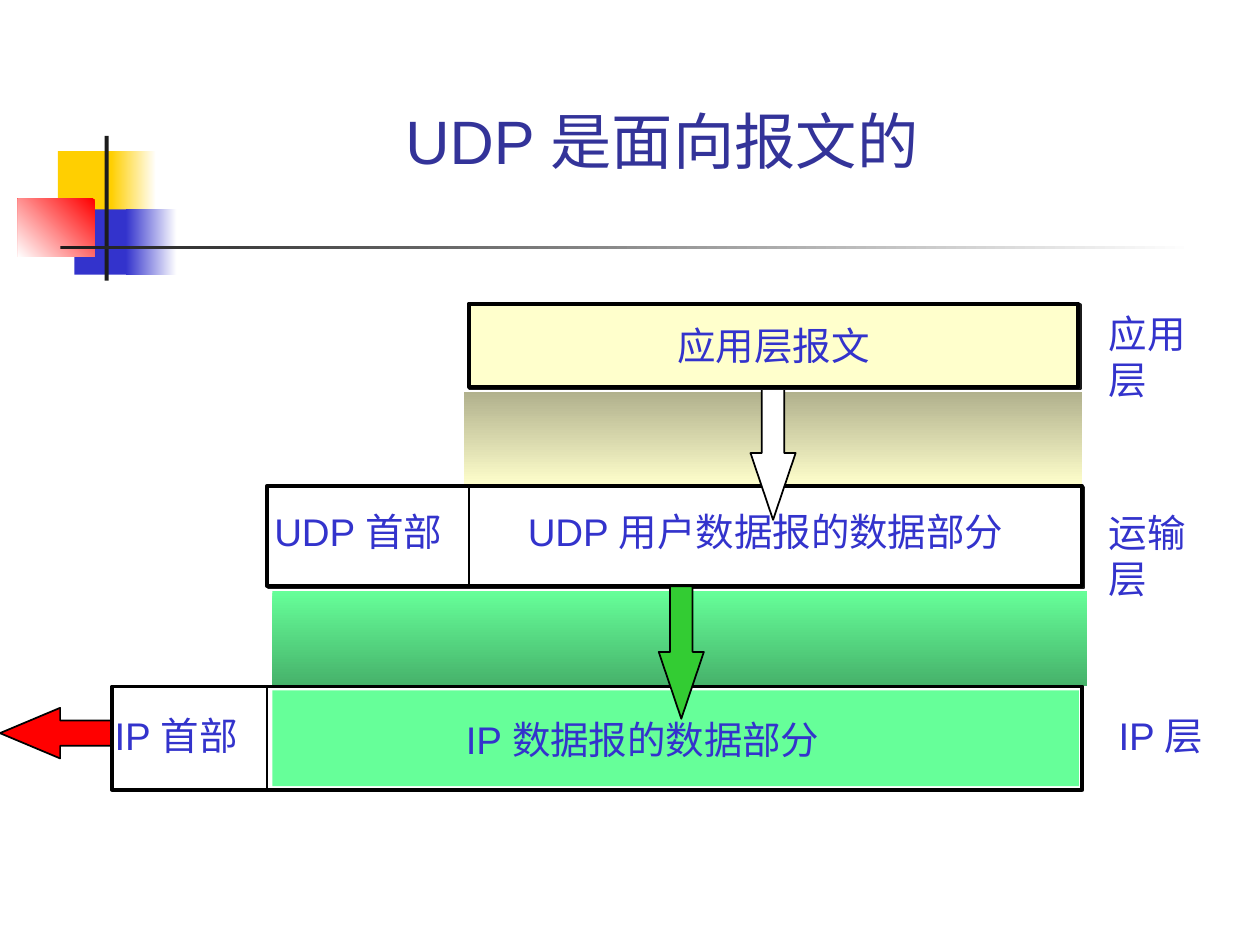
from dataclasses import dataclass

from lxml.etree import SubElement
from pptx import Presentation
from pptx.dml.color import RGBColor
from pptx.enum.shapes import MSO_CONNECTOR, MSO_SHAPE
from pptx.enum.text import MSO_ANCHOR, MSO_AUTO_SIZE, PP_ALIGN
from pptx.oxml.ns import qn
from pptx.util import Cm, Pt

FONT = "Arial"
BLACK, WHITE, DARK, BLUE = "000000", "FFFFFF", "1C1C1C", "3333CC"
PALE_YELLOW, LIGHT_GREEN = "FFFFCC", "66FF99"


@dataclass
class Block:
    """A preset shape in centimetres; fade is the second gradient colour."""
    left: float
    top: float
    width: float
    height: float
    fill: str
    fade: str = ""
    angle: float = 0
    border: float = 0
    shadow: bool = False
    preset: MSO_SHAPE = MSO_SHAPE.RECTANGLE
    head: float = 0


@dataclass
class Label:
    text: str
    left: float
    top: float
    width: float
    fill: str = ""


@dataclass
class Divider:
    x: float
    top: float
    bottom: float


def rgb(value: str) -> RGBColor:
    return RGBColor.from_string(value)


def add_shadow(shape) -> None:
    effects = shape._element.spPr.find(qn("a:effectLst"))
    outer = SubElement(effects, qn("a:outerShdw"), blurRad="0",
                       dist=str(Pt(1.4)), dir="2700000", algn="ctr", rotWithShape="0")
    SubElement(outer, qn("a:srgbClr"), val=DARK)


def draw_block(slide, block: Block):
    shape = slide.shapes.add_shape(block.preset, Cm(block.left), Cm(block.top),
                                   Cm(block.width), Cm(block.height))
    shape.shadow.inherit = False
    if block.fade:
        shape.fill.gradient()
        shape.fill.gradient_angle = block.angle
        for stop, colour in zip(shape.fill.gradient_stops, (block.fill, block.fade)):
            stop.color.rgb = rgb(colour)
            stop.position = 0 if colour == block.fill else 1
    else:
        shape.fill.solid()
        shape.fill.fore_color.rgb = rgb(block.fill)
    if block.border:
        shape.line.color.rgb = rgb(BLACK)
        shape.line.width = Pt(block.border)
    else:
        shape.line.fill.background()
    if block.shadow:
        add_shadow(shape)
    if block.head:
        shape.adjustments[0] = 0.5
        shape.adjustments[1] = block.head
    return shape


def write(frame, text: str, size: float, colour: str, align: PP_ALIGN) -> None:
    frame.text = text
    paragraph = frame.paragraphs[0]
    paragraph.alignment = align
    font = paragraph.runs[0].font
    font.name = FONT
    font.size = Pt(size)
    font.color.rgb = rgb(colour)


def draw_label(slide, label: Label) -> None:
    box = slide.shapes.add_textbox(Cm(label.left), Cm(label.top), Cm(label.width), Cm(1.17))
    if label.fill:
        box.fill.solid()
        box.fill.fore_color.rgb = rgb(label.fill)
    box.text_frame.word_wrap = False
    box.text_frame.auto_size = MSO_AUTO_SIZE.SHAPE_TO_FIT_TEXT
    write(box.text_frame, label.text, 22, BLUE, PP_ALIGN.LEFT)


def draw_divider(slide, divider: Divider) -> None:
    line = slide.shapes.add_connector(MSO_CONNECTOR.STRAIGHT, Cm(divider.x), Cm(divider.top),
                                      Cm(divider.x), Cm(divider.bottom))
    line.line.color.rgb = rgb(BLACK)
    line.line.width = Pt(1)
    SubElement(line._element.spPr, qn("a:effectLst"))


def down_arrow(left: float, top: float, fill: str) -> Block:
    return Block(left, top, 0.91, 2.67, fill, border=1, preset=MSO_SHAPE.DOWN_ARROW, head=1.48)


ORNAMENT = [
    Block(1.17, 3.05, 1.22, 1.32, "FFCF01"),
    Block(2.24, 3.05, 0.91, 1.32, "FFCF01", fade=WHITE),
    Block(1.5, 4.22, 1.17, 1.32, BLUE),
    Block(2.54, 4.22, 1.02, 1.32, BLUE, fade=WHITE),
    Block(0.36, 4.01, 1.55, 1.17, "FF0000", fade=WHITE, angle=225),
    Block(2.11, 2.74, 0.08, 2.92, DARK),
    Block(1.22, 4.95, 22.86, 0.08, DARK, fade=WHITE),
]
LAYERS = [
    Block(0, 14.27, 2.39, 1.02, "FF0000", border=1, preset=MSO_SHAPE.LEFT_ARROW, head=1.19),
    Block(5.49, 11.91, 16.43, 1.93, LIGHT_GREEN, fade="46B16A", angle=270),
    Block(9.35, 7.9, 12.47, 1.9, "B1B18D", fade=PALE_YELLOW, angle=270),
    Block(5.38, 9.8, 16.43, 2.01, WHITE, border=2.25, shadow=True),
    Block(2.26, 13.84, 19.56, 2.08, WHITE, border=2.25),
    Block(5.49, 13.92, 16.26, 1.93, LIGHT_GREEN),
]
LABELS = [
    Label("IP 数据报的数据部分", 9.14, 14.3, 7.82),
    Label("IP 首部", 2.06, 14.22, 3.18),
    Label("IP 层", 22.3, 14.22, 2.41),
    Label("UDP 首部", 5.28, 10.11, 4.09),
    Label("UDP 用户数据报的数据部分", 10.39, 10.11, 10.29),
    Label("运输层", 22.1, 10.13, 2.82, WHITE),
    Label("应用层", 22.1, 6.12, 2.82),
]
DIVIDERS = [Divider(9.45, 9.8, 11.81), Divider(5.38, 13.84, 15.92)]
ARROWS = [down_arrow(13.28, 11.82, "33CC33"), down_arrow(15.13, 7.81, WHITE)]
MESSAGE = Block(9.45, 6.12, 12.29, 1.68, PALE_YELLOW, border=2.25, shadow=True)


def main() -> None:
    presentation = Presentation()
    presentation.slide_width, presentation.slide_height = Cm(25.4), Cm(19.05)
    slide = presentation.slides.add_slide(presentation.slide_layouts[5])

    title = slide.shapes.title
    title.left, title.top, title.width, title.height = Cm(3.2), Cm(0.58), Cm(20.29), Cm(3.12)
    title.text_frame.vertical_anchor = MSO_ANCHOR.BOTTOM
    title.text_frame.auto_size = MSO_AUTO_SIZE.NONE
    write(title.text_frame, "UDP 是面向报文的", 35, "333399", PP_ALIGN.CENTER)

    for block in ORNAMENT + LAYERS:
        draw_block(slide, block)
    for label in LABELS:
        draw_label(slide, label)
    for divider in DIVIDERS:
        draw_divider(slide, divider)
    for arrow in ARROWS:
        draw_block(slide, arrow)

    message = draw_block(slide, MESSAGE)
    message.text_frame.word_wrap = False
    message.text_frame.vertical_anchor = MSO_ANCHOR.MIDDLE
    write(message.text_frame, "应用层报文", 22, BLUE, PP_ALIGN.CENTER)

    presentation.save("out.pptx")


if __name__ == "__main__":
    main()
